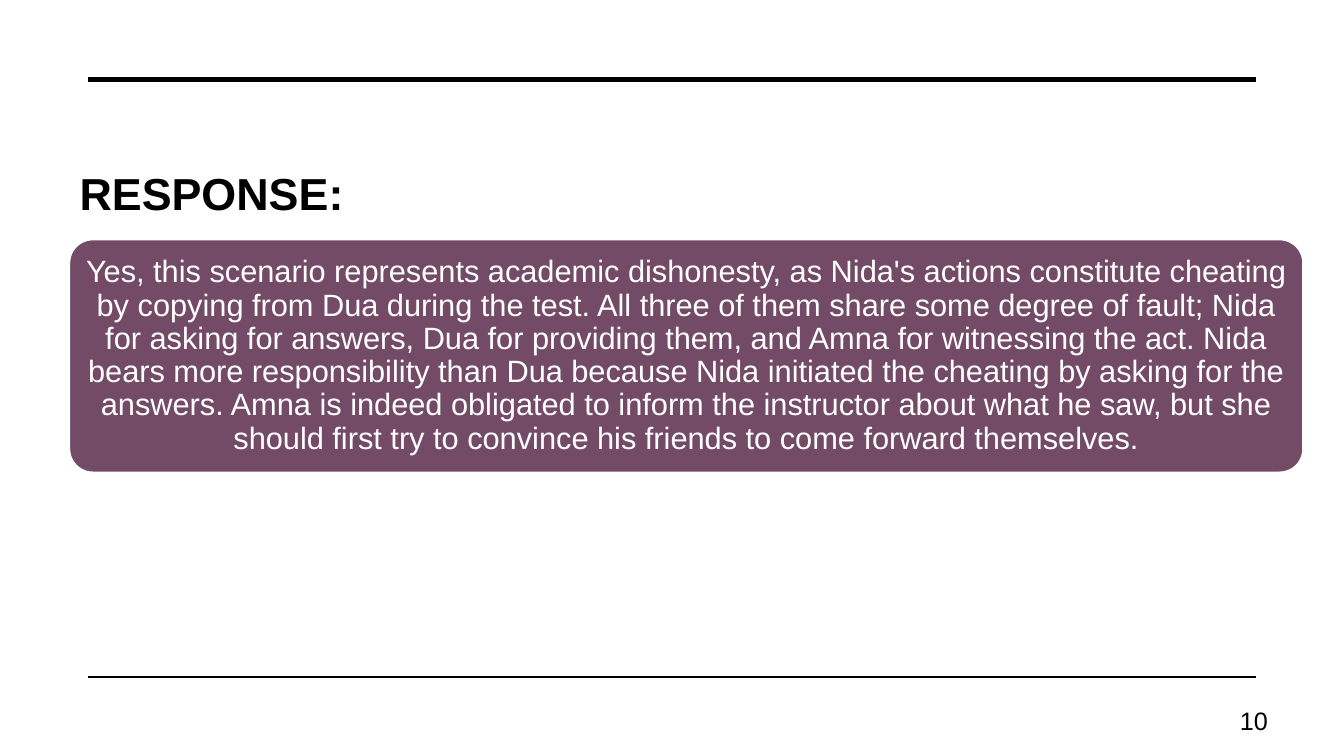
from pptx import Presentation
from pptx.dml.color import RGBColor as Rgb
from pptx.enum.shapes import MSO_CONNECTOR as Conn, MSO_SHAPE as Shape
from pptx.enum.text import MSO_ANCHOR as Anchor, MSO_AUTO_SIZE as Fit, PP_ALIGN as Align
from pptx.oxml.ns import qn
from pptx.util import Pt

INK, PLUM, WHITE = "000000", "734B67", "FFFFFF"
REPLY = (
    "Yes, this scenario represents academic dishonesty, as Nida's actions "
    "constitute cheating by copying from Dua during the test. All three of them "
    "share some degree of fault; Nida for asking for answers, Dua for providing "
    "them, and Amna for witnessing the act. Nida bears more responsibility than "
    "Dua because Nida initiated the cheating by asking for the answers. Amna is "
    "indeed obligated to inform the instructor about what he saw, but she should "
    "first try to convince his friends to come forward themselves."
)


def tint(code):
    """Return the colour for a hex string."""
    return Rgb.from_string(code)


def write(frame, text, size, code, align, anchor, bold=False):
    """Fill a text frame with one styled paragraph."""
    frame.word_wrap = True
    frame.auto_size = Fit.NONE
    frame.vertical_anchor = anchor
    para = frame.paragraphs[0]
    para.text = text
    para.alignment = align
    font = para.font
    font.name, font.size, font.bold = "Arial", Pt(size), bold
    font.color.rgb = tint(code)
    return para


def rule(slide, left, top, width, weight):
    """Draw a horizontal rule."""
    line = slide.shapes.add_connector(
        Conn.STRAIGHT, Pt(left), Pt(top), Pt(left + width), Pt(top))
    line.line.color.rgb = tint(INK)
    line.line.width = Pt(weight)
    props = line._element.spPr
    props.append(props.makeelement(qn("a:effectLst"), {}))


def frame(slide, left, top, width, height):
    """Draw the page rules and the page number below them."""
    rule(slide, left, top, width, 3.5)
    rule(slide, left, top + height, width, 1)
    box = slide.shapes.add_textbox(
        Pt(left + width - 37.5), Pt(top + height + 16.8), Pt(53.3), Pt(28.8))
    write(box.text_frame, "10", 18, INK, Align.RIGHT, Anchor.MIDDLE)


def head(slide, left, top, width, height):
    """Place the heading in the title placeholder."""
    title = slide.shapes.title
    title.left, title.top = Pt(left), Pt(top)
    title.width, title.height = Pt(width), Pt(height)
    write(title.text_frame, "RESPONSE:", 32, INK, Align.LEFT, Anchor.TOP, True)


def card(slide, left, top, width, height):
    """Draw the rounded card that holds the reply."""
    box = slide.shapes.add_shape(
        Shape.ROUNDED_RECTANGLE, Pt(left), Pt(top), Pt(width), Pt(height))
    box.adjustments[0] = 0.1
    box.shadow.inherit = False
    box.fill.solid()
    box.fill.fore_color.rgb = tint(PLUM)
    box.line.color.rgb = tint(WHITE)
    box.line.width = Pt(1)
    text = box.text_frame
    text.margin_left = text.margin_right = Pt(6.6)
    text.margin_top = text.margin_bottom = Pt(6.6)
    para = write(text, REPLY, 22, WHITE, Align.CENTER, Anchor.MIDDLE)
    para.line_spacing = 0.9


def main():
    """Build and save the slide."""
    deck = Presentation()
    deck.slide_width, deck.slide_height = Pt(960), Pt(540)
    slide = deck.slides.add_slide(deck.slide_layouts[5])
    frame(slide, 63, 57, 834, 426.5)
    card(slide, 49.7, 171.2, 881, 166.1)
    head(slide, 49.6, 114.5, 360.7, 46)
    deck.save("out.pptx")


if __name__ == "__main__":
    main()
